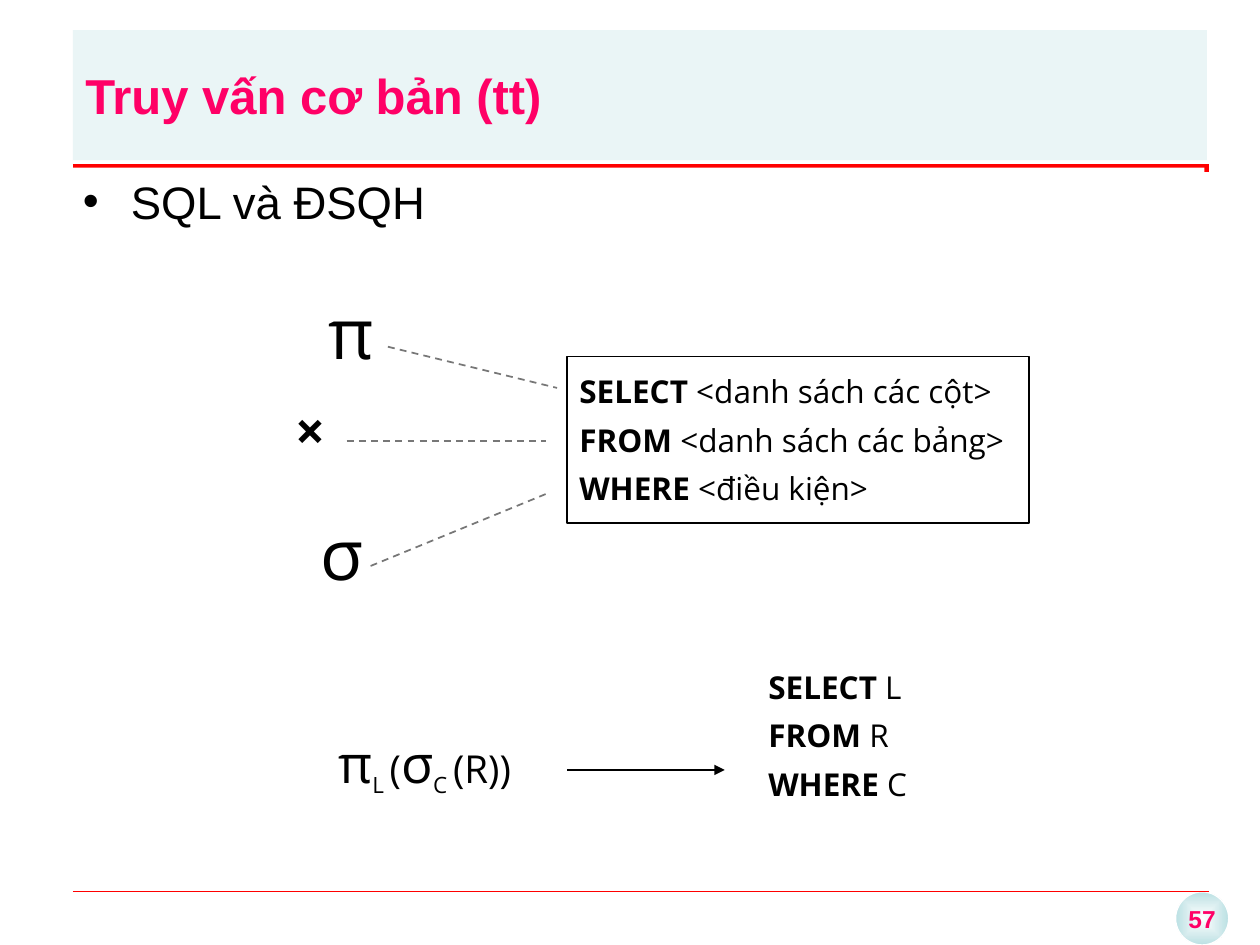
"""Build a slide that maps SQL clauses to relational algebra operators."""
import lxml.etree
import pptx
import pptx.dml.color
import pptx.enum.dml
import pptx.enum.shapes
import pptx.enum.text
import pptx.oxml.ns
import pptx.util

Cm, Pt = pptx.util.Cm, pptx.util.Pt
RGB = pptx.dml.color.RGBColor.from_string
qn = pptx.oxml.ns.qn
ALIGN = pptx.enum.text.PP_ALIGN
ANCHOR = pptx.enum.text.MSO_ANCHOR
FIT = pptx.enum.text.MSO_AUTO_SIZE.SHAPE_TO_FIT_TEXT
SHAPES = pptx.enum.shapes.MSO_SHAPE

THEME = {
    "pink": RGB("FF0066"), "red": RGB("FF0000"), "teal": RGB("BBE0E3"),
    "white": RGB("FFFFFF"), "black": RGB("000000"), "gray": RGB("777777"),
    "heading": "Arial", "content": "Open Sans",
    "title": Pt(28), "bullet": Pt(26), "symbol": Pt(40), "operator": Pt(30),
    "formula": Pt(22), "code": Pt(18), "number": Pt(14),
}

presentation = pptx.Presentation()
presentation.slide_width, presentation.slide_height = Cm(25.4), Cm(19.05)
slide = presentation.slides.add_slide(presentation.slide_layouts[6])


def add_text(place, paragraphs, font, color="black", kind=None, align=ALIGN.LEFT, **frame_format):
    """Add a text box, or a preset shape of the given kind, with formatted runs."""
    box = [Cm(value) for value in place]
    if kind is None:
        shape = slide.shapes.add_textbox(*box)
    else:
        shape = slide.shapes.add_shape(kind, *box)
        shape.shadow.inherit = False
        shape.fill.background()
        shape.line.fill.background()
    frame = shape.text_frame
    for name, value in {"word_wrap": True, "vertical_anchor": ANCHOR.TOP, **frame_format}.items():
        setattr(frame, name, value)
    for index, runs in enumerate(paragraphs):
        paragraph = frame.add_paragraph() if index else frame.paragraphs[0]
        paragraph.alignment = align
        paragraph.space_before = Pt(6 if index else 0)
        for text, changes in runs:
            run = paragraph.add_run()
            run.text = text
            for name, value in {**font, **changes}.items():
                if name == "baseline":
                    run.font._element.set(name, value)
                else:
                    setattr(run.font, name, value)
            run.font.color.rgb = THEME[color]
    return shape


def add_line(start_x, start_y, end_x, end_y, color, width):
    """Add a straight connector without a shadow."""
    connector = slide.shapes.add_connector(
        pptx.enum.shapes.MSO_CONNECTOR.STRAIGHT, Cm(start_x), Cm(start_y), Cm(end_x), Cm(end_y))
    connector.line.color.rgb = THEME[color]
    connector.line.width = Pt(width)
    lxml.etree.SubElement(connector._element.spPr, qn("a:effectLst"))
    return connector


badge = add_text((23.7, 17.98, 1.07, 1.07), [[("57", {})]],
                 {"name": THEME["heading"], "size": THEME["number"], "bold": True},
                 "pink", SHAPES.OVAL, ALIGN.CENTER,
                 vertical_anchor=ANCHOR.MIDDLE, word_wrap=False)
badge.line.color.rgb = THEME["white"]
badge.line.width = Pt(0.75)
badge.fill.gradient()
for stop, position, color in zip(badge.fill.gradient_stops, (0, 1), ("white", "teal")):
    stop.position = position
    stop.color.rgb = THEME[color]
gradient = badge._element.spPr.find(qn("a:gradFill"))
gradient.remove(gradient.find(qn("a:lin")))
radial = lxml.etree.Element(qn("a:path"), {"path": "shape"})
lxml.etree.SubElement(radial, qn("a:fillToRect"), {side: "50000" for side in "ltrb"})
gradient.find(qn("a:gsLst")).addnext(radial)

for y, width in ((17.96, 0.25), (3.38, 4.5)):
    add_line(1.47, y, 24.38, y, "red", width)

body = add_text((1.42, 3.38, 22.86, 14.17), [[("SQL và ĐSQH", {})]],
                {"name": THEME["heading"], "size": THEME["bullet"]},
                kind=SHAPES.RECTANGLE, align=ALIGN.JUSTIFY)
body.fill.solid()
body.fill.fore_color.rgb = THEME["white"]
bullet_format = body.text_frame.paragraphs[0]._p.get_or_add_pPr()
for name, value in {"marL": Cm(0.97), "indent": -Cm(0.97)}.items():
    bullet_format.set(name, str(value))
lxml.etree.SubElement(bullet_format, qn("a:buFont"), {"typeface": "Arial"})
lxml.etree.SubElement(bullet_format, qn("a:buChar"), {"char": "•"})

code_font = {"name": THEME["content"], "size": THEME["code"]}
keywords = ("SELECT", "FROM", "WHERE")
syntax_parts = ("<danh sách các cột>", "<danh sách các bảng>", "<điều kiện>")
syntax, query = [
    [[(keyword, {"bold": True}), (f" {part}", {"bold": False})]
     for keyword, part in zip(keywords, parts)]
    for parts in (syntax_parts, "LRC")
]
syntax_box = add_text((11.43, 7.19, 9.32, 3.35), syntax, code_font, kind=SHAPES.RECTANGLE,
                      vertical_anchor=ANCHOR.MIDDLE, auto_size=FIT)
syntax_box.line.color.rgb = THEME["black"]
syntax_box.line.width = Pt(1)

for symbol, left, top, height, size, bold in (
    ("σ", 5.72, 10.16, 1.96, "symbol", False),
    ("π", 5.92, 5.72, 1.96, "symbol", False),
    ("×", 5.08, 7.9, 1.52, "operator", True),
):
    add_text((left, top, 2.34, height), [[(symbol, {})]],
             {"name": THEME["content"], "size": THEME[size], "bold": bold},
             align=ALIGN.CENTER, auto_size=FIT)

for ends in ((7.82, 6.99, 11.23, 7.82), (6.99, 8.89, 11, 8.89), (11, 9.96, 7.42, 11.43)):
    link = add_line(*ends, "gray", 1)
    link.line.dash_style = pptx.enum.dml.MSO_LINE.DASH

add_text((15.24, 13.34, 4.01, 3.3), query, code_font, auto_size=FIT)

large, subscript = {"size": THEME["operator"]}, {"baseline": "-25000"}
formula = [("π", large), ("L ", subscript), ("(", {}),
           ("σ", large), ("C ", subscript), ("(R))", {})]
add_text((5.92, 14.61, 5.28, 1.52), [formula],
         {"name": THEME["content"], "size": THEME["formula"]},
         align=ALIGN.CENTER, auto_size=FIT)

arrow = add_line(11.43, 15.52, 14.61, 15.52, "black", 1)
lxml.etree.SubElement(arrow.line._get_or_add_ln(), qn("a:tailEnd"), {"type": "triangle"})

title = add_text((1.47, 0.61, 22.86, 2.62), [[("Truy vấn cơ bản (tt)", {})]],
                 {"name": THEME["heading"], "size": THEME["title"], "bold": True},
                 "pink", SHAPES.RECTANGLE, vertical_anchor=ANCHOR.MIDDLE)
title.fill.solid()
title.fill.fore_color.rgb = THEME["teal"]
title_color = title._element.spPr.find(qn("a:solidFill")).find(qn("a:srgbClr"))
lxml.etree.SubElement(title_color, qn("a:alpha"), {"val": "30000"})

presentation.save("out.pptx")
